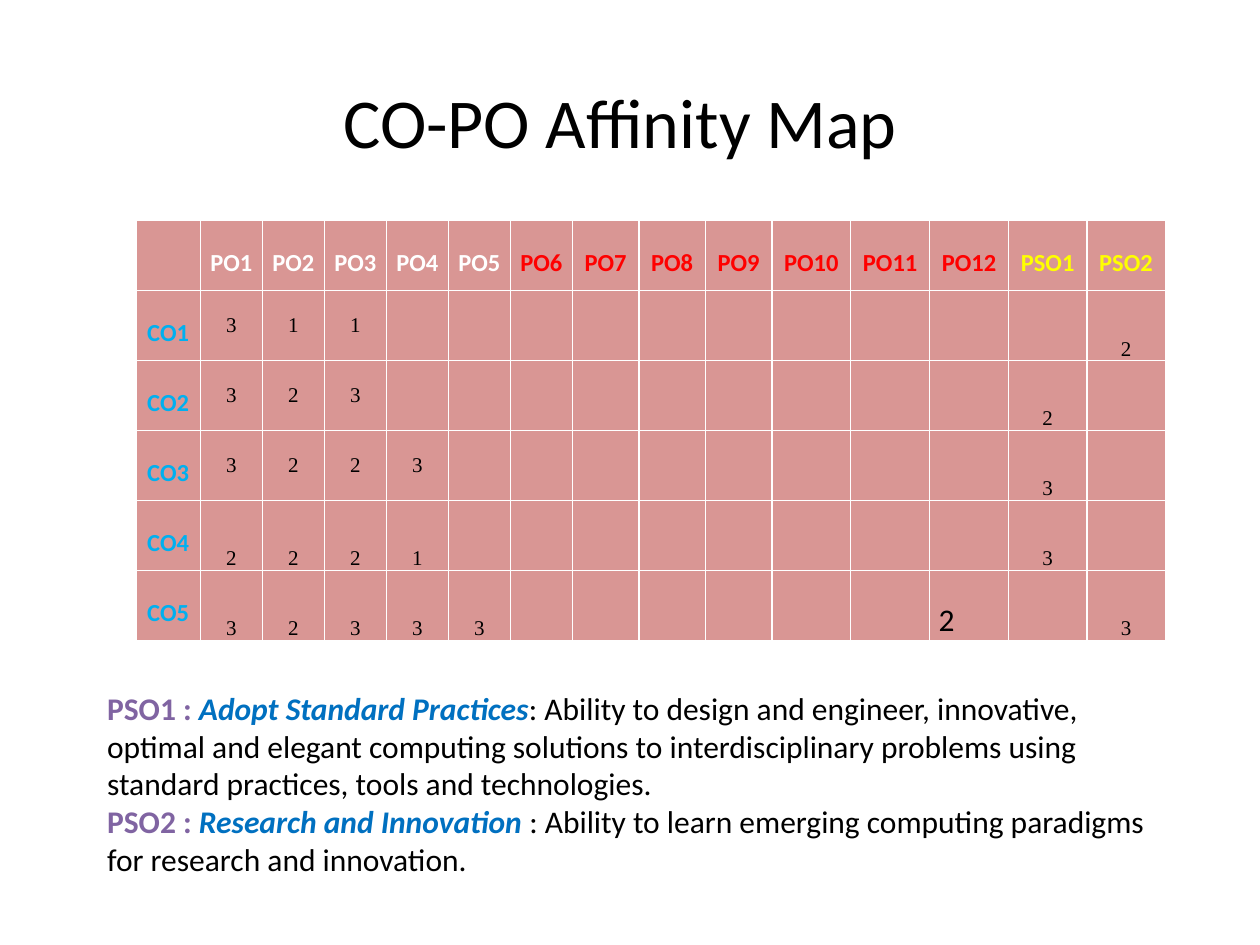
import pptx
import pptx.util
import pptx.dml.color
import pptx.enum.text

Cm, Pt = pptx.util.Cm, pptx.util.Pt
MIDDLE = pptx.enum.text.MSO_ANCHOR.MIDDLE
BOTTOM = pptx.enum.text.MSO_ANCHOR.BOTTOM
CENTER = pptx.enum.text.PP_ALIGN.CENTER
LEFT = pptx.enum.text.PP_ALIGN.LEFT


def style_font(font, size, color, bold=False, italic=False, name="Calibri"):
    font.name = name
    font.size = Pt(size)
    font.bold = bold
    font.italic = italic
    font.color.rgb = pptx.dml.color.RGBColor.from_string(color)


def fill_cell(cell, text, anchor):
    cell.text = text
    cell.vertical_anchor = anchor
    cell.margin_left = cell.margin_right = Cm(0.18)
    cell.margin_top = cell.margin_bottom = 0
    para = cell.text_frame.paragraphs[0]
    para.alignment = CENTER
    return para


deck = pptx.Presentation()
deck.slide_width = Cm(25.4)
deck.slide_height = Cm(19.05)
page = deck.slides.add_slide(deck.slide_layouts[5])

title = page.shapes.title
title.left, title.top, title.width, title.height = Cm(1.07), Cm(0.84), Cm(22.86), Cm(3.18)
title.text_frame.text = "CO-PO Affinity Map"
title.text_frame.vertical_anchor = MIDDLE
title_para = title.text_frame.paragraphs[0]
title_para.alignment = CENTER
style_font(title_para.font, 40, "000000")

outcomes = [f"PO{number}" for number in range(1, 13)] + ["PSO1", "PSO2"]
affinities = [
    {"PO1": 3, "PO2": 1, "PO3": 1, "PSO2": 2},
    {"PO1": 3, "PO2": 2, "PO3": 3, "PSO1": 2},
    {"PO1": 3, "PO2": 2, "PO3": 2, "PO4": 3, "PSO1": 3},
    {"PO1": 2, "PO2": 2, "PO3": 2, "PO4": 1, "PSO1": 3},
    {"PO1": 3, "PO2": 2, "PO3": 3, "PO4": 3, "PO5": 3, "PO12": 2, "PSO2": 3},
]
widths = [1.3] + [1.25] * 6 + [1.34] * 3 + [1.59] * 3 + [1.58] * 2
row_height = 1.41

table = page.shapes.add_table(
    len(affinities) + 1, len(widths), Cm(2.74), Cm(4.45),
    Cm(sum(widths)), Cm(row_height * (len(affinities) + 1))).table
table.horz_banding = False
for column, width in zip(table.columns, widths):
    column.width = Cm(width)
for row in table.rows:
    row.height = Cm(row_height)
for cell in table.iter_cells():
    cell.fill.solid()
    cell.fill.fore_color.rgb = pptx.dml.color.RGBColor.from_string("D99694")

header_colors = ["FFFFFF"] * 5 + ["FF0000"] * 7 + ["FFFF00"] * 2
for column, (outcome, color) in enumerate(zip(outcomes, header_colors), 1):
    para = fill_cell(table.cell(0, column), outcome, MIDDLE)
    para.line_spacing = 1.5
    style_font(para.font, 14, color, bold=True)

for row, scores in enumerate(affinities, 1):
    para = fill_cell(table.cell(row, 0), f"CO{row}", MIDDLE)
    para.line_spacing = 1.5
    style_font(para.font, 14, "00B0F0", bold=True)
    for outcome, score in scores.items():
        anchor = MIDDLE if row <= 3 and outcome.startswith("PO") else BOTTOM
        para = fill_cell(table.cell(row, outcomes.index(outcome) + 1), str(score), anchor)
        if outcome == "PO12":
            para.alignment = LEFT
            style_font(para.font, 18, "000000")
        else:
            style_font(para.font, 12, "000000", name="Times New Roman")

definitions = [
    ("PSO1 : ", "Adopt Standard Practices",
     ": Ability to design and engineer, innovative, optimal and elegant computing solutions "
     "to interdisciplinary problems using standard practices, tools and technologies."),
    ("PSO2 : ", "Research and Innovation ",
     ": Ability to learn emerging computing paradigms for research and innovation."),
]
span_styles = [("8064A2", True, False), ("0070C0", True, True), ("000000", False, False)]

box = page.shapes.add_textbox(Cm(1.91), Cm(13.76), Cm(21.8), Cm(4.11))
frame = box.text_frame
frame.word_wrap = True
frame.auto_size = pptx.enum.text.MSO_AUTO_SIZE.SHAPE_TO_FIT_TEXT
for index, definition in enumerate(definitions):
    para = frame.add_paragraph() if index else frame.paragraphs[0]
    for text, (color, bold, italic) in zip(definition, span_styles):
        span = para.add_run()
        span.text = text
        style_font(span.font, 18, color, bold, italic)

deck.save("out.pptx")
